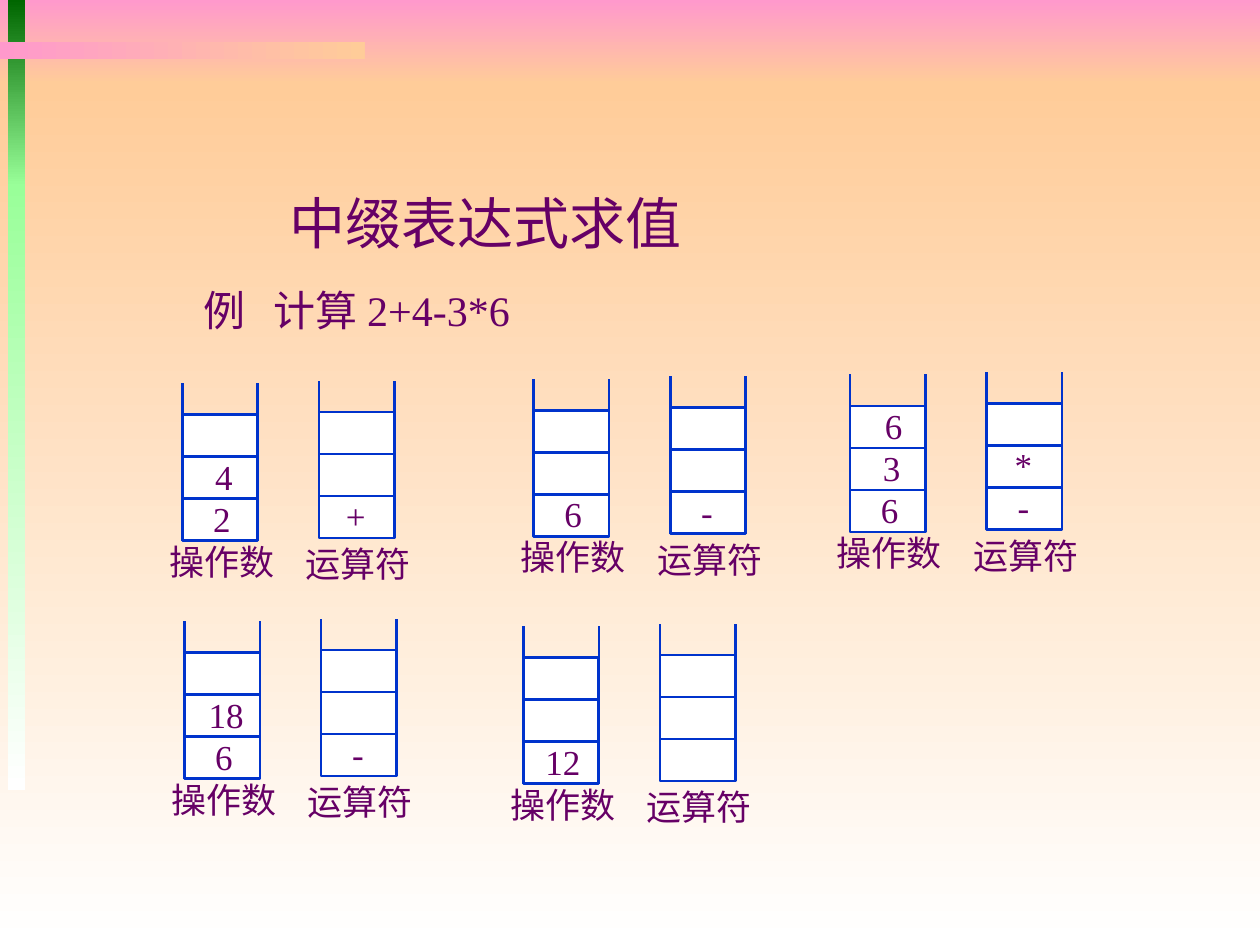
from dataclasses import dataclass

from lxml import etree
from pptx import Presentation
from pptx.dml.color import RGBColor
from pptx.enum.shapes import MSO_CONNECTOR, MSO_SHAPE
from pptx.enum.text import MSO_ANCHOR, MSO_AUTO_SIZE, PP_ALIGN
from pptx.oxml.ns import qn
from pptx.util import Pt

RECT, STRAIGHT = MSO_SHAPE.RECTANGLE, MSO_CONNECTOR.STRAIGHT
TOP, MIDDLE = MSO_ANCHOR.TOP, MSO_ANCHOR.MIDDLE
LEFT, CENTER = PP_ALIGN.LEFT, PP_ALIGN.CENTER
DOWN, ACROSS = 270, 0
TITLE_ONLY = 5


@dataclass(frozen=True)
class Theme:
    ink: str = "660066"
    outline: str = "0033CC"
    paper: str = "FFFFFF"
    pink: str = "FF99CC"
    peach: str = "FFCC99"
    green: str = "006600"
    mint: str = "99FF99"
    heading_font: str = "Arial"
    body_font: str = "Times New Roman"
    title_size: int = 32
    example_size: int = 24
    stack_size: int = 20
    line_width: float = 1.5


THEME = Theme()
FRAME_FORMAT = {
    "word_wrap": False, "auto_size": MSO_AUTO_SIZE.NONE,
    "margin_left": Pt(7.2), "margin_right": Pt(7.2),
    "margin_top": Pt(3.6), "margin_bottom": Pt(3.6),
}

# Stack geometry
STACK_W, STACK_H, CELL_H, CELLS = 43, 90, 24, 3
OPERATOR_DX, OPERATOR_DY = 78, -1.5
LABEL_W, LABEL_H = 74.4, 31.5

# Each step: left, top, operands and operators from the bottom up
STEPS = [
    (104.3, 219, ["2", "4"], ["+"]),
    (305, 216.5, ["6"], ["-"]),
    (485.8, 214, ["6", "3", "6"], ["-", "*"]),
    (105.5, 355, ["6", "18"], ["-"]),
    (299.2, 357.8, ["12"], []),
]


def rgb(code):
    return RGBColor.from_string(code)


def apply_format(target, values):
    for name, value in values.items():
        setattr(target, name, value)


def write_text(holder, text, size, font=THEME.body_font, align=CENTER, anchor=MIDDLE):
    frame = holder.text_frame
    apply_format(frame, {**FRAME_FORMAT, "vertical_anchor": anchor})
    paragraph = frame.paragraphs[0]
    paragraph.alignment = align
    run = paragraph.add_run()
    run.text = text
    apply_format(run.font, {"size": Pt(size), "name": font})
    run.font.color.rgb = rgb(THEME.ink)
    return paragraph


def add_label(shapes, box, text, size, **style):
    return write_text(shapes.add_textbox(*map(Pt, box)), text, size, **style)


def add_gradient(shapes, box, start, end, angle):
    band = shapes.add_shape(RECT, *map(Pt, box))
    band.shadow.inherit = False
    band.line.fill.background()
    band.fill.gradient()
    band.fill.gradient_angle = angle
    for stop, code in zip(band.fill.gradient_stops, (start, end)):
        stop.color.rgb = rgb(code)


def add_background(shapes, box):
    x, y, width, height = box
    t = THEME
    split = 48.2
    add_gradient(shapes, (x, y, width, split), t.pink, t.peach, DOWN)
    add_gradient(shapes, (x, y + split, width, height - split), t.peach, t.paper, DOWN)
    # Green strip at the left edge, crossed by a pink bar
    add_gradient(shapes, (x + 4.3, y, 10, 106.5), t.green, t.mint, DOWN)
    add_gradient(shapes, (x + 4.3, y + 105, 10, 346.5), t.mint, t.paper, DOWN)
    add_gradient(shapes, (x, y + 24, 208.4, 10), t.pink, t.peach, ACROSS)


def add_wall(shapes, x, top, bottom):
    wall = shapes.add_connector(STRAIGHT, Pt(x), Pt(bottom), Pt(x), Pt(top))
    wall.line.color.rgb = rgb(THEME.outline)
    wall.line.width = Pt(THEME.line_width)
    etree.SubElement(wall._element.spPr, qn("a:effectLst"))


def add_stack(shapes, box, values, caption, nudge, lean, drop):
    """An open-topped stack; nudge and lean shift its values sideways."""
    x, y, width, height = box
    base = y + height
    for wall_x in (x, x + width):
        add_wall(shapes, wall_x, y, base)
    for level in range(1, CELLS + 1):
        cell = shapes.add_shape(RECT, *map(Pt, (x, base - level * CELL_H, width, CELL_H)))
        cell.shadow.inherit = False
        cell.fill.solid()
        cell.fill.fore_color.rgb = rgb(THEME.paper)
        cell.line.color.rgb = rgb(THEME.outline)
        cell.line.width = Pt(THEME.line_width)
    add_label(shapes, (x - 14.7, base + drop, LABEL_W, LABEL_H), caption, THEME.stack_size)
    for level, value in enumerate(values):
        value_w = 14.4 + 10 * len(value)
        left = x + (width - value_w) / 2 + nudge + lean * level
        top = base - (level + 0.5) * CELL_H - LABEL_H / 2 - 0.8
        add_label(shapes, (left, top, value_w, LABEL_H), value, THEME.stack_size)


def add_step(shapes, box, operands, operators):
    x, y, width, height = box
    pair = shapes.add_group_shape().shapes
    add_stack(pair, box, operands, "操作数", nudge=1, lean=1.2, drop=-4)
    operator_box = (x + OPERATOR_DX, y + OPERATOR_DY, width, height)
    add_stack(pair, operator_box, operators, "运算符", nudge=-0.5, lean=0, drop=-1)


def add_example(shapes, box):
    line = add_label(shapes, box, "例\t计算 2+4-3*6", THEME.example_size, align=LEFT)
    tabs = etree.SubElement(line._p.get_or_add_pPr(), qn("a:tabLst"))
    etree.SubElement(tabs, qn("a:tab"), pos=str(Pt(40)), algn="l")


def place_title(slide, box):
    title = slide.shapes.title
    apply_format(title, dict(zip(("left", "top", "width", "height"), map(Pt, box))))
    write_text(title, "中缀表达式求值", THEME.title_size, THEME.heading_font, anchor=TOP)
    slide.shapes._spTree.append(title._element)  # bring in front of the background


def main():
    deck = Presentation()
    deck.slide_width, deck.slide_height = Pt(720), Pt(540)
    slide = deck.slides.add_slide(deck.slide_layouts[TITLE_ONLY])
    add_background(slide.shapes, (0, 0, 720, 540))
    add_example(slide.shapes, (109.4, 159, 195, 36))
    for left, top, operands, operators in STEPS:
        add_step(slide.shapes, (left, top, STACK_W, STACK_H), operands, operators)
    # Wide enough to keep the title on one line
    place_title(slide, (152.6, 104, 250, 46))
    deck.save("out.pptx")


if __name__ == "__main__":
    main()
